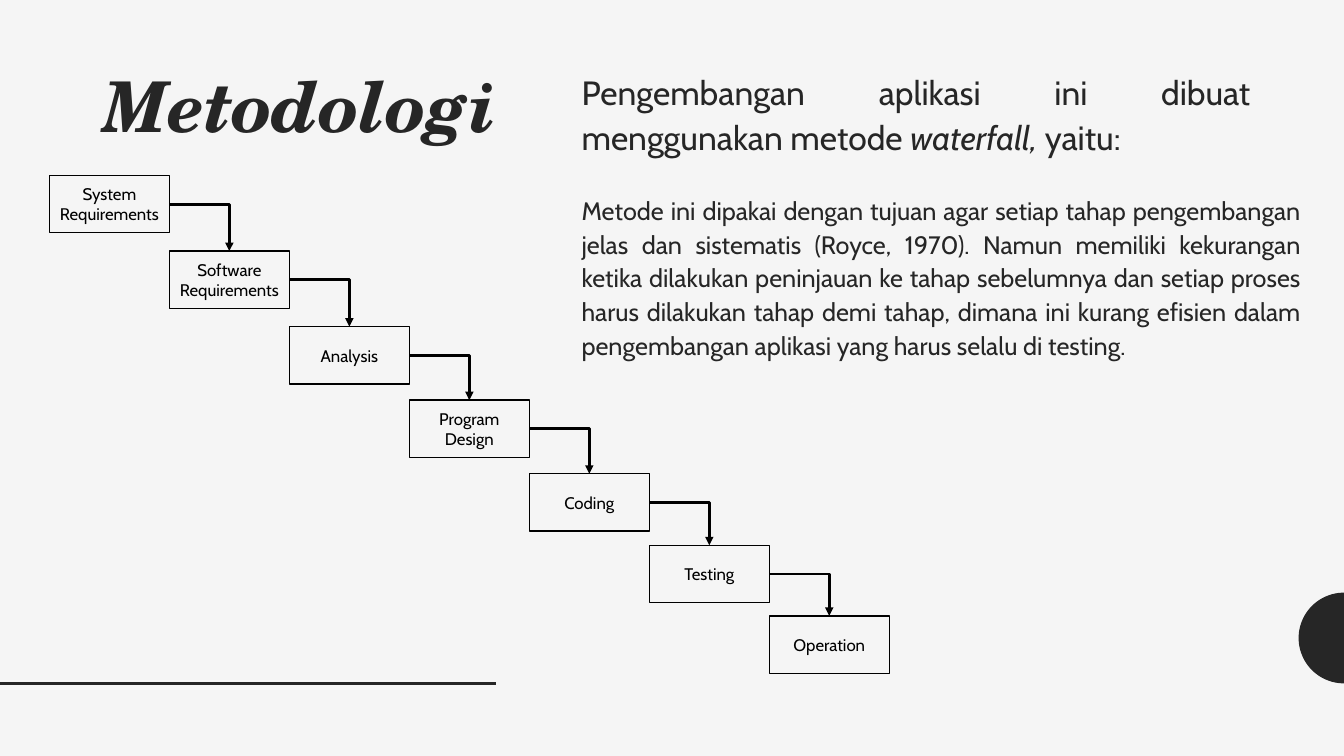
"""Build the methodology slide with its waterfall staircase."""
import math

import pptx
import pptx.dml.color
import pptx.enum.shapes
import pptx.enum.text
import pptx.oxml.ns
import pptx.util
from lxml import etree

INK = pptx.dml.color.RGBColor(0x26, 0x26, 0x26)
BLACK = pptx.dml.color.RGBColor(0, 0, 0)
PAPER = pptx.dml.color.RGBColor(0xF5, 0xF5, 0xF5)
ALIGN = pptx.enum.text.PP_ALIGN
ANCHOR = pptx.enum.text.MSO_ANCHOR
CONNECTOR = pptx.enum.shapes.MSO_CONNECTOR
Inches = pptx.util.Inches
qn = pptx.oxml.ns.qn


def write(shape, text, size, align, font="Cabin", color=INK, bold=False,
          italic=False, italic_part="", spacing=1.0, anchor=ANCHOR.TOP):
    frame = shape.text_frame
    frame.word_wrap = True
    frame.auto_size = pptx.enum.text.MSO_AUTO_SIZE.NONE
    frame.vertical_anchor = anchor
    paragraph = frame.paragraphs[0]
    paragraph.alignment = align
    paragraph.line_spacing = spacing
    before, part, after = text.partition(italic_part) if italic_part else (text, "", "")
    for piece, slanted in ((before, italic), (part, True), (after, italic)):
        if piece:
            run = paragraph.add_run()
            run.text = piece
            run.font.name = font
            run.font.size = pptx.util.Pt(size)
            run.font.color.rgb = color
            run.font.bold = bold
            run.font.italic = slanted


def draw_connector(kind, left, top, right, bottom, color):
    connector = slide.shapes.add_connector(
        kind, Inches(left), Inches(top), Inches(right), Inches(bottom))
    connector.line.color.rgb = color
    connector.line.width = pptx.util.Pt(2)
    properties = connector._element.spPr
    etree.SubElement(properties, qn("a:effectLst"))
    return properties


presentation = pptx.Presentation()
presentation.slide_width = Inches(13.33)
presentation.slide_height = Inches(7.5)
slide = presentation.slides.add_slide(presentation.slide_layouts[5])
slide.background.fill.solid()
slide.background.fill.fore_color.rgb = PAPER

EDGE, DISC_MIDDLE, RADIUS, ARC_STEPS = 13.33, 6.33, 0.45, 48
arc = []
for step in range(ARC_STEPS + 1):
    angle = math.pi * step / ARC_STEPS
    arc.append((Inches(EDGE - RADIUS * math.sin(angle)),
                Inches(DISC_MIDDLE - RADIUS * math.cos(angle))))
builder = slide.shapes.build_freeform(*arc[0])
builder.add_line_segments(arc[1:], close=True)
half_disc = builder.convert_to_shape()
half_disc.shadow.inherit = False
half_disc.fill.solid()
half_disc.fill.fore_color.rgb = INK
half_disc.line.fill.background()

draw_connector(CONNECTOR.STRAIGHT, 0, 6.78, 4.92, 6.78, INK)

title = slide.shapes.title
title.left, title.top = Inches(0.83), Inches(0.61)
title.width, title.height = Inches(4.19), Inches(0.96)
write(title, "Metodologi", 50, ALIGN.RIGHT, font="TeX Gyre Schola", bold=True,
      italic=True, spacing=0.9, anchor=ANCHOR.MIDDLE)

TEXT_LEFT = 5.67
intro = slide.shapes.add_textbox(
    Inches(TEXT_LEFT), Inches(0.62), Inches(6.83), Inches(1.6))
write(intro, "Pengembangan aplikasi ini dibuat menggunakan metode waterfall, yaitu:",
      24, ALIGN.JUSTIFY, italic_part="waterfall, ", spacing=1.12)

STAGES = (
    ("System Requirements", 1.74),
    ("Software Requirements", 2.49),
    ("Analysis", 3.24),
    ("Program Design", 3.97),
    ("Coding", 4.7),
    ("Testing", 5.41),
    ("Operation", 6.11),
)
STAGE_LEFT, STAGE_WIDTH, STAGE_HEIGHT = 0.49, 1.19, 0.57

for column, (name, top) in enumerate(STAGES):
    box = slide.shapes.add_shape(
        pptx.enum.shapes.MSO_SHAPE.RECTANGLE,
        Inches(STAGE_LEFT + column * STAGE_WIDTH), Inches(top),
        Inches(STAGE_WIDTH), Inches(STAGE_HEIGHT))
    box.shadow.inherit = False
    box.fill.background()
    box.line.color.rgb = BLACK
    box.line.width = pptx.util.Pt(1)
    write(box, name, 12, ALIGN.CENTER, color=BLACK, anchor=ANCHOR.MIDDLE)

for column in range(1, len(STAGES)):
    start = STAGE_LEFT + column * STAGE_WIDTH
    properties = draw_connector(
        CONNECTOR.ELBOW, start, STAGES[column - 1][1] + STAGE_HEIGHT / 2,
        start + STAGE_WIDTH / 2, STAGES[column][1], BLACK)
    properties.find(qn("a:prstGeom")).set("prst", "bentConnector2")
    etree.SubElement(properties.find(qn("a:ln")), qn("a:tailEnd"), type="triangle")

detail = slide.shapes.add_textbox(
    Inches(TEXT_LEFT), Inches(1.85), Inches(7.33), Inches(2.41))
write(detail, "Metode ini dipakai dengan tujuan agar setiap tahap pengembangan jelas "
      "dan sistematis (Royce, 1970). Namun memiliki kekurangan ketika dilakukan "
      "peninjauan ke tahap sebelumnya dan setiap proses harus dilakukan tahap demi "
      "tahap, dimana ini kurang efisien dalam pengembangan aplikasi yang harus "
      "selalu di testing.", 18, ALIGN.JUSTIFY, spacing=1.12)

presentation.save("out.pptx")
